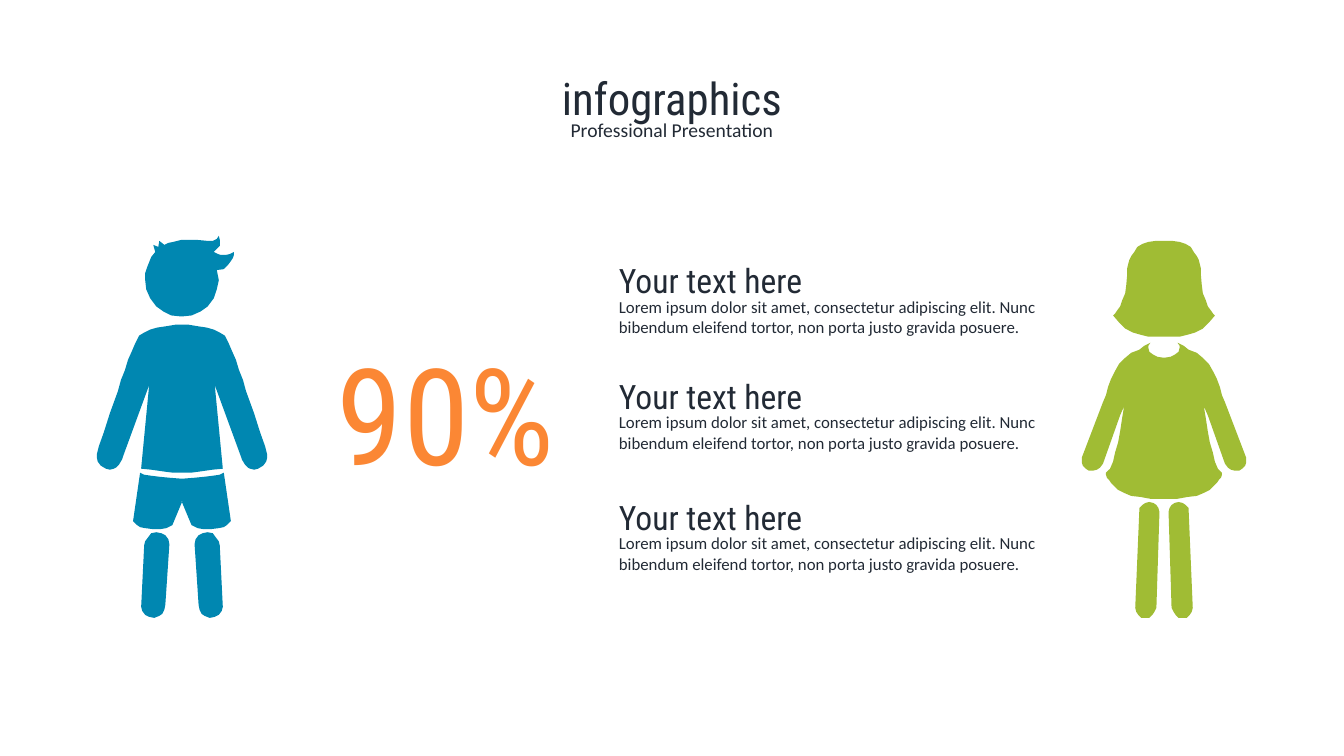
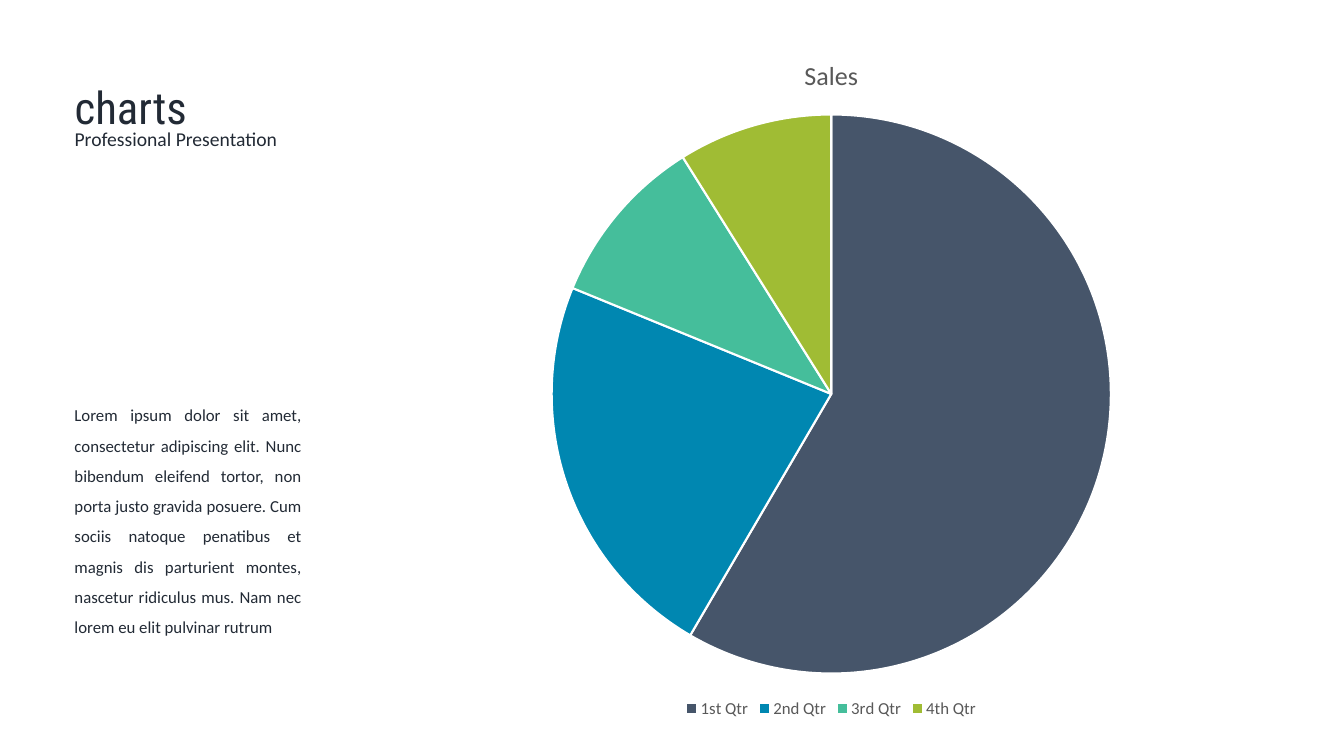
from lxml import etree
from pptx import Presentation
from pptx.chart.data import CategoryChartData
from pptx.dml.color import RGBColor
from pptx.enum.chart import XL_CHART_TYPE, XL_LEGEND_POSITION
from pptx.enum.text import MSO_ANCHOR, MSO_AUTO_SIZE, PP_ALIGN
from pptx.oxml.ns import qn
from pptx.util import Emu, Pt

PIE = XL_CHART_TYPE.PIE
BOTTOM = XL_LEGEND_POSITION.BOTTOM
TOP = MSO_ANCHOR.TOP
FIT_SHAPE = MSO_AUTO_SIZE.SHAPE_TO_FIT_TEXT
LEFT, CENTER, JUSTIFY = PP_ALIGN.LEFT, PP_ALIGN.CENTER, PP_ALIGN.JUSTIFY

EMU_PER_PX = 9144  # 100 px to the inch
SLIDE_WIDTH, SLIDE_HEIGHT = 1333, 750
TITLE_AND_BODY = 1

HEADING_FONT, BODY_FONT = "Roboto Condensed", "Calibri"
INK, GRAY, WHITE = "222A35", "595959", "FFFFFF"
BLUE, GREEN, ORANGE = "0087B1", "A0BC34", "FB8734"
SLICE_COLORS = ["46556A", BLUE, "45BE9B", GREEN]

LOREM = ("Lorem ipsum dolor sit amet, consectetur adipiscing elit. "
         "Nunc bibendum eleifend tortor, non porta justo gravida posuere.")
LOREM_LONG = LOREM + (" Cum sociis natoque penatibus et magnis dis parturient montes, "
                      "nascetur ridiculus mus. Nam nec lorem eu elit pulvinar rutrum")

# Figure outlines: right halves run from top centre to bottom centre.
# The mirror sum is twice the x of a figure's axis.
BOY_MIRROR_SUM = 361
BOY_HEAD = [
    (217, 234), (218, 238), (218, 244), (215, 247), (212, 250), (216, 252),
    (219, 253), (224, 253), (228, 252), (232, 250), (232, 253), (231, 256),
    (229, 259), (226, 263), (222, 267), (215, 268), (217, 278), (215, 287),
    (212, 296), (206, 304), (199, 309), (190, 313), (180, 314), (170, 313),
    (162, 309), (155, 304), (149, 296), (145, 287), (144, 278), (144, 271),
    (146, 265), (148, 260), (150, 255), (154, 250), (152, 243), (157, 245),
    (158, 239), (163, 243), (167, 241), (172, 240), (180, 238), (195, 238),
    (206, 239), (211, 239), (215, 237),
]
BOY_TORSO = [
    (180, 322), (186, 322), (198, 324), (205, 325), (212, 327), (218, 330),
    (223, 333), (227, 341), (230, 348), (234, 357), (237, 367), (241, 377),
    (244, 388), (252, 410), (258, 429), (263, 443), (265, 451), (265, 454),
    (264, 458), (261, 462), (256, 465), (252, 466), (248, 465), (246, 464),
    (243, 461), (240, 456), (239, 453), (213, 382), (221, 465), (211, 466),
    (197, 468), (189, 469), (180, 469),
]
BOY_SHORTS = [
    (180, 475), (193, 474), (203, 473), (211, 472), (218, 471), (222, 469),
    (229, 517), (227, 519), (225, 521), (222, 523), (217, 524), (209, 525),
    (202, 525), (196, 524), (190, 521), (180, 497),
]
BOY_LEG = [
    (206, 528), (211, 529), (214, 533), (217, 537), (218, 541), (221, 602),
    (220, 606), (217, 610), (213, 612), (208, 613), (203, 611), (200, 609),
    (198, 605), (197, 600), (193, 540), (194, 535), (197, 531), (201, 529),
]

GIRL_MIRROR_SUM = 2309
GIRL_HAIR = [
    (1154, 239), (1163, 239), (1170, 240), (1176, 242), (1181, 245), (1184, 250),
    (1187, 254), (1189, 258), (1190, 262), (1191, 266), (1191, 272), (1192, 283),
    (1193, 291), (1196, 298), (1198, 304), (1201, 308), (1203, 311), (1205, 313),
    (1199, 320), (1193, 326), (1185, 330), (1178, 332), (1170, 334), (1154, 334),
]
GIRL_DRESS = [
    (1154, 355), (1161, 354), (1165, 352), (1169, 349), (1170, 345), (1170, 343),
    (1168, 340), (1174, 343), (1179, 347), (1187, 350), (1193, 355), (1199, 361),
    (1203, 368), (1207, 376), (1210, 384), (1212, 392), (1215, 399), (1236, 454),
    (1236, 459), (1235, 462), (1232, 465), (1229, 467), (1225, 467), (1221, 466),
    (1218, 464), (1215, 460), (1198, 412), (1194, 403), (1196, 415), (1198, 428),
    (1200, 439), (1203, 449), (1205, 458), (1208, 465), (1212, 469), (1212, 471),
    (1211, 474), (1209, 476), (1207, 479), (1204, 482), (1200, 486), (1194, 489),
    (1187, 492), (1178, 493), (1167, 495), (1154, 495),
]
GIRL_LEG = [
    (1169, 498), (1173, 499), (1176, 501), (1179, 504), (1179, 508), (1183, 603),
    (1182, 607), (1180, 610), (1177, 613), (1169, 613), (1166, 610), (1164, 607),
    (1162, 603), (1159, 508), (1160, 504), (1162, 501), (1165, 499),
]


def px(length):
    return Emu(length * EMU_PER_PX)


def color(hex_string):
    return RGBColor.from_string(hex_string)


def place(shape, left, top, width, height):
    shape.left, shape.top = px(left), px(top)
    shape.width, shape.height = px(width), px(height)


def style_font(font, size, name=BODY_FONT, hex_string=INK):
    font.size = Pt(size)
    font.name = name
    font.bold = False
    font.color.rgb = color(hex_string)


def write_text(shape, text, size, name=BODY_FONT, hex_string=INK,
               alignment=LEFT, line_spacing=1.0):
    frame = shape.text_frame
    frame.word_wrap = True
    frame.auto_size = FIT_SHAPE
    frame.vertical_anchor = TOP
    paragraph = frame.paragraphs[0]
    paragraph.alignment = alignment
    paragraph.line_spacing = line_spacing
    run = paragraph.add_run()
    run.text = text
    style_font(run.font, size, name, hex_string)
    return paragraph


def add_text(slide, box, text, size, **style):
    shape = slide.shapes.add_textbox(*map(px, box))
    write_text(shape, text, size, **style)


def add_slide(presentation, title, subtitle, left, top, width, alignment):
    """Add a slide with the shared heading in its placeholders."""
    slide = presentation.slides.add_slide(presentation.slide_layouts[TITLE_AND_BODY])
    title_shape, subtitle_shape = slide.placeholders
    place(title_shape, left, top, width, 64)
    write_text(title_shape, title, 32, name=HEADING_FONT, alignment=alignment)
    place(subtitle_shape, left, top + 47, width, 34)
    paragraph = write_text(subtitle_shape, subtitle, 14, alignment=alignment)
    # Plain line: no bullet, indent or space before
    paragraph.space_before = Pt(0)
    properties = paragraph._p.get_or_add_pPr()
    properties.set("marL", "0")
    properties.set("indent", "0")
    etree.SubElement(properties, qn("a:buNone"))
    return slide


def mirror(points, mirror_sum):
    return [(mirror_sum - x, y) for x, y in reversed(points)]


def add_figure(slide, hex_string, mirror_sum, halves, leg, outlines=()):
    """Draw a grouped figure from mirrored halves, a pair of legs and whole outlines."""
    group = slide.shapes.add_group_shape()
    whole = [half + mirror(half, mirror_sum) for half in halves]
    for points in [*whole, leg, mirror(leg, mirror_sum), *outlines]:
        builder = group.shapes.build_freeform(*points[0], scale=EMU_PER_PX)
        builder.add_line_segments(points[1:], close=True)
        shape = builder.convert_to_shape()
        shape.shadow.inherit = False
        shape.fill.solid()
        shape.fill.fore_color.rgb = color(hex_string)
        shape.line.fill.background()


def add_pie(slide, box, title, categories, values):
    data = CategoryChartData()
    data.categories = categories
    data.add_series(title, values)
    chart = slide.shapes.add_chart(PIE, *map(px, box), data).chart
    style_font(chart.font, 12, hex_string=GRAY)
    # Title and legend
    chart.has_title = True
    chart.chart_title.include_in_layout = False
    run = chart.chart_title.text_frame.paragraphs[0].add_run()
    run.text = title
    style_font(run.font, 18.6, hex_string=GRAY)
    chart.has_legend = True
    chart.legend.position = BOTTOM
    chart.legend.include_in_layout = False
    style_font(chart.legend.font, 12, hex_string=GRAY)
    # Slices
    plot = chart.plots[0]
    plot.vary_by_categories = True
    for index, hex_string in enumerate(SLICE_COLORS):
        slice_format = plot.series[0].points[index].format
        slice_format.fill.solid()
        slice_format.fill.fore_color.rgb = color(hex_string)
        slice_format.line.color.rgb = color(WHITE)
        slice_format.line.width = Pt(1.5)


def build_infographics(presentation):
    slide = add_slide(presentation, "infographics", "Professional Presentation",
                      88, 65, 1157, CENTER)
    add_figure(slide, BLUE, BOY_MIRROR_SUM, [BOY_TORSO, BOY_SHORTS], BOY_LEG, [BOY_HEAD])
    add_figure(slide, GREEN, GIRL_MIRROR_SUM, [GIRL_HAIR, GIRL_DRESS], GIRL_LEG)
    add_text(slide, (312, 324, 260, 172), "90%", 96, name=HEADING_FONT,
             hex_string=ORANGE, alignment=CENTER)
    for top in (253, 368, 488):
        add_text(slide, (604, top, 467, 50), "Your text here", 24, name=HEADING_FONT)
        add_text(slide, (604, top + 36, 467, 50), LOREM, 12)


def build_charts(presentation):
    slide = add_slide(presentation, "charts", "Professional Presentation",
                      64, 74, 1181, LEFT)
    add_pie(slide, (316, 33, 1017, 684), "Sales",
            ["1st Qtr", "2nd Qtr", "3rd Qtr", "4th Qtr"], [59, 23, 10, 9])
    add_text(slide, (64, 387, 245, 252), LOREM_LONG, 12,
             alignment=JUSTIFY, line_spacing=1.5)


def main():
    presentation = Presentation()
    presentation.slide_width = px(SLIDE_WIDTH)
    presentation.slide_height = px(SLIDE_HEIGHT)
    build_infographics(presentation)
    build_charts(presentation)
    presentation.save("out.pptx")


if __name__ == "__main__":
    main()
